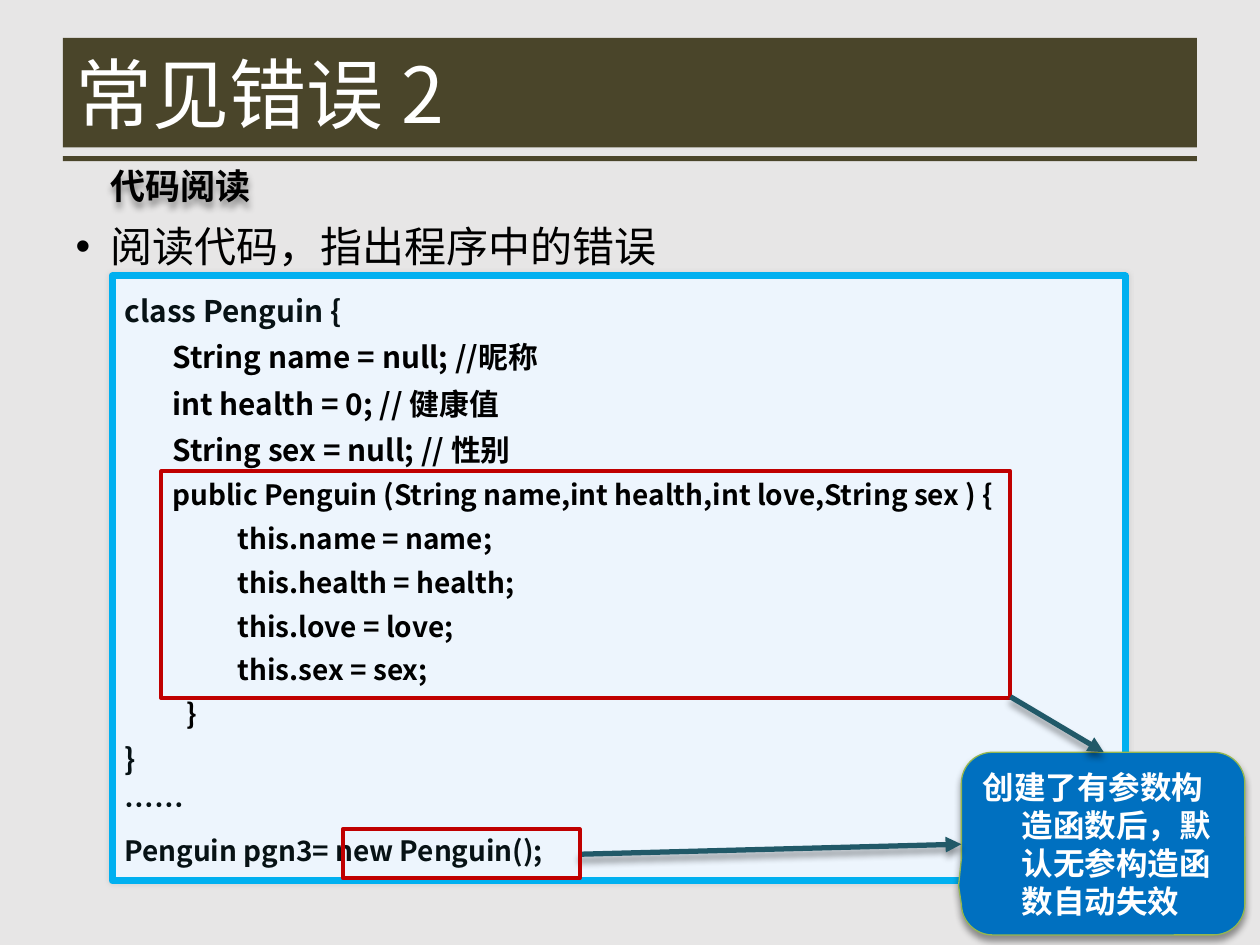
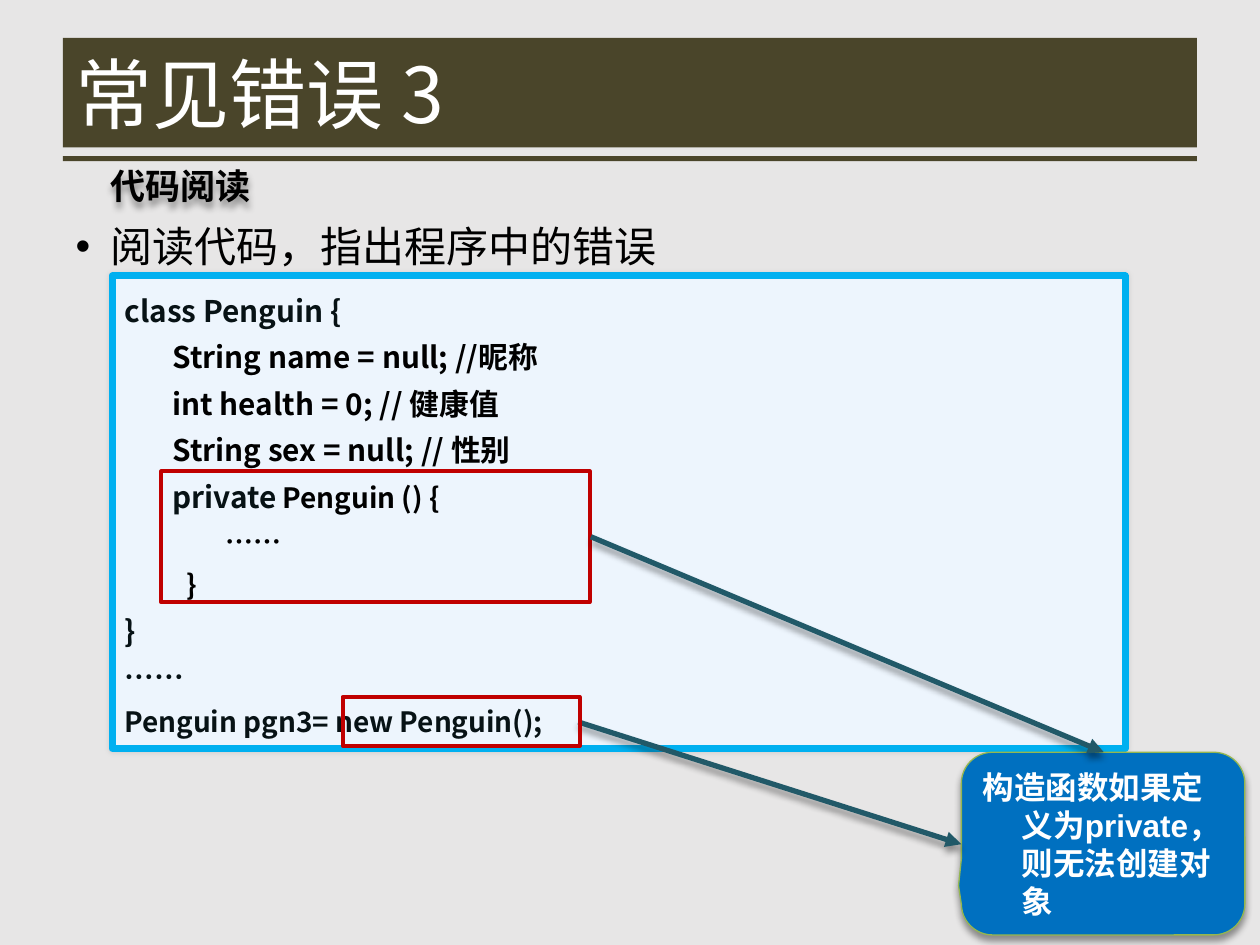
"""Build two slides on common Java constructor mistakes."""

from lxml.etree import SubElement
from pptx import Presentation
from pptx.dml.color import RGBColor
from pptx.enum.shapes import MSO_CONNECTOR, MSO_SHAPE
from pptx.enum.text import MSO_ANCHOR, PP_ALIGN
from pptx.oxml.ns import qn
from pptx.util import Inches, Pt

COLORS = {
    "background": "E7E6E6", "band": "4A452A", "white": "FFFFFF", "black": "000000",
    "code_fill": "EDF5FD", "code_line": "00B0F0", "code_dark": "071215",
    "highlight": "C00000", "callout": "0070C0", "callout_line": "95B74F",
    "arrow": "215968",
}
CJK_FONT = "Noto Sans CJK SC"
LINE_HEIGHT = 1.2
CODE_SPACING = 1.3
STRONG_SHADOW = (40, 4, 3, 90)
SOFT_SHADOW = (10, 3, 0, 0)

HEADING = "代码阅读"
TASK = "阅读代码，指出程序中的错误"
MEMBER, CLOSING, ELLIPSIS, STATEMENT = 0.38, 0.49, 0.8, 0.9

CLASS_START = [
    (0, 17, "code_dark", "class Penguin {"),
    (MEMBER, 17, "black", "String name = null; //昵称"),
    (MEMBER, 17, "black", "int health = 0; // 健康值"),
    (MEMBER, 17, "black", "String sex = null; // 性别"),
]
CLASS_END = [
    (CLOSING, 16, "black", "}"),
    (0, 17, "code_dark", "}"),
    (0, 17, "code_dark", "……"),
    (0, 16, "code_dark", "Penguin pgn3= new Penguin();"),
]
FIELDS = ["name", "health", "love", "sex"]

SLIDES = [
    {
        "title": "常见错误 2",
        "constructor": [
            (MEMBER, 16, "black",
             "public Penguin (String name,int health,int love,String sex ) {"),
            *[(STATEMENT, 16, "black", f"this.{field} = {field};") for field in FIELDS],
        ],
        "code_height": 4.8,
        "constructor_size": (6.74, 1.8),
        "arrow_start": (8.02, 5.53),
        "new_call_top": 6.58,
        "callout": "创建了有参数构造函数后，默认无参构造函数自动失效",
    },
    {
        "title": "常见错误 3",
        "constructor": [
            (MEMBER, 17, "code_dark", "private", " Penguin () {"),
            (ELLIPSIS, 16, "black", "……"),
        ],
        "code_height": 3.75,
        "constructor_size": (3.4, 1.04),
        "arrow_start": (4.69, 4.26),
        "new_call_top": 5.53,
        "callout": "构造函数如果定义为private，则无法创建对象",
    },
]


def color(name):
    return RGBColor.from_string(COLORS[name])


def inches(values):
    return [Inches(value) for value in values]


def format_paragraph(paragraph, size, color_name, bold=False, font=CJK_FONT, spacing=1.0):
    paragraph.alignment = PP_ALIGN.LEFT
    paragraph.line_spacing = Pt(round(size * LINE_HEIGHT * spacing, 1))
    paragraph.space_before = Pt(0)
    paragraph.font.name = font
    paragraph.font.size = Pt(size)
    paragraph.font.bold = bold
    paragraph.font.color.rgb = color(color_name)
    defaults = paragraph._p.pPr.find(qn("a:defRPr"))
    SubElement(defaults, qn("a:ea")).set("typeface", CJK_FONT)


def set_indent(paragraph, margin, first_line=0):
    properties = paragraph._p.get_or_add_pPr()
    properties.set("marL", str(Inches(margin)))
    properties.set("indent", str(Inches(first_line)))


def add_shadow(shape, opacity, blur, distance, direction):
    properties = shape.element.spPr
    effects = properties.find(qn("a:effectLst"))
    if effects is None:
        effects = SubElement(properties, qn("a:effectLst"))
    shadow = SubElement(effects, qn("a:outerShdw"), blurRad=str(Pt(blur)),
                        dist=str(Pt(distance)), dir=str(direction * 60000),
                        algn="ctr", rotWithShape="0")
    tint = SubElement(shadow, qn("a:srgbClr"), val=COLORS["black"])
    SubElement(tint, qn("a:alpha"), val=str(opacity * 1000))


def add_box(slide, preset, place, fill=None, line=None, width=0):
    shape = slide.shapes.add_shape(preset, *inches(place))
    if fill:
        shape.fill.solid()
        shape.fill.fore_color.rgb = color(fill)
    else:
        shape.fill.background()
    if line:
        shape.line.color.rgb = color(line)
        shape.line.width = Pt(width)
    else:
        shape.line.fill.background()
    shape.shadow.inherit = False
    return shape


def add_highlight(slide, place):
    add_box(slide, MSO_SHAPE.RECTANGLE, place, line="highlight", width=2.25)


def add_arrow(slide, start, end):
    arrow = slide.shapes.add_connector(MSO_CONNECTOR.STRAIGHT, *inches(start + end))
    arrow.line.color.rgb = color("arrow")
    arrow.line.width = Pt(3)
    SubElement(arrow.line._get_or_add_ln(), qn("a:tailEnd"), type="triangle")
    add_shadow(arrow, *STRONG_SHADOW)


def prepare_layout(presentation):
    layout = presentation.slide_layouts[1]
    background = presentation.slide_master.background.fill
    background.solid()
    background.fore_color.rgb = color("background")
    for placeholder, place in ((layout.placeholders[0], (0.5, 0.3, 9, 0.87)),
                               (layout.placeholders[1], (0.5, 1.7, 9, 5))):
        placeholder.left, placeholder.top, placeholder.width, placeholder.height = inches(place)
    return layout


def move_bands_to_layout(slide, layout):
    for place in ((0.5, 0.3, 9, 0.87), (0.5, 1.24, 9, 0.04)):
        band = add_box(slide, MSO_SHAPE.RECTANGLE, place, fill="band")
        layout.shapes.element.insert(2, band.element)


def add_title_and_task(slide, title_text):
    title, body = slide.placeholders
    title.text_frame.text = title_text
    title.text_frame.vertical_anchor = MSO_ANCHOR.MIDDLE
    format_paragraph(title.text_frame.paragraphs[0], 44, "white")
    body.text_frame.text = TASK
    task = body.text_frame.paragraphs[0]
    format_paragraph(task, 24, "black")
    set_indent(task, 0.28, -0.28)


def add_code(slide, lines, height):
    box = add_box(slide, MSO_SHAPE.ROUNDED_RECTANGLE, (0.89, 2.19, 8.04, height),
                  "code_fill", "code_line", 4)
    box.adjustments[0] = 0
    add_shadow(box, *SOFT_SHADOW)
    frame = box.text_frame
    frame.word_wrap = True
    frame.vertical_anchor = MSO_ANCHOR.TOP
    for number, (indent, size, color_name, text, *rest) in enumerate(lines):
        paragraph = frame.add_paragraph() if number else frame.paragraphs[0]
        paragraph.add_run().text = text
        format_paragraph(paragraph, size, color_name, True, spacing=CODE_SPACING)
        set_indent(paragraph, indent)
        for part in rest:
            run = paragraph.add_run()
            run.text = part
            run.font.size = Pt(16)
            run.font.color.rgb = color("black")


def add_callout(slide, text):
    callout = add_box(slide, MSO_SHAPE.ROUNDED_RECTANGULAR_CALLOUT,
                      (7.63, 5.97, 2.25, 1.45), "callout", "callout_line", 0.75)
    for index, value in enumerate((-0.51, 0.23, 0.17)):
        callout.adjustments[index] = value
    add_shadow(callout, *STRONG_SHADOW)
    frame = callout.text_frame
    frame.word_wrap = True
    frame.vertical_anchor = MSO_ANCHOR.BOTTOM
    frame.text = text
    format_paragraph(frame.paragraphs[0], 18, "white", True, "Arial")
    set_indent(frame.paragraphs[0], 0.31, -0.31)


def add_heading(slide):
    heading = slide.shapes.add_textbox(*inches((0.78, 1.26, 1.33, 0.44)))
    heading.text_frame.word_wrap = False
    heading.text_frame.text = HEADING
    format_paragraph(heading.text_frame.paragraphs[0], 20, "black", True)
    add_shadow(heading, *STRONG_SHADOW)


def build_slide(slide, content):
    new_top = content["new_call_top"]
    add_title_and_task(slide, content["title"])
    lines = CLASS_START + content["constructor"] + CLASS_END
    add_code(slide, lines, content["code_height"])
    add_highlight(slide, (1.28, 3.74, *content["constructor_size"]))
    add_callout(slide, content["callout"])
    add_arrow(slide, content["arrow_start"], (8.76, 5.97))
    add_heading(slide)
    add_arrow(slide, (4.59, new_top + 0.2), (7.63, 6.7))
    add_highlight(slide, (2.72, new_top, 1.88, 0.39))


def main():
    presentation = Presentation()
    presentation.slide_width, presentation.slide_height = inches((10, 7.5))
    layout = prepare_layout(presentation)
    for number, content in enumerate(SLIDES):
        slide = presentation.slides.add_slide(layout)
        if number == 0:
            move_bands_to_layout(slide, layout)
        build_slide(slide, content)
    presentation.save("out.pptx")


if __name__ == "__main__":
    main()
